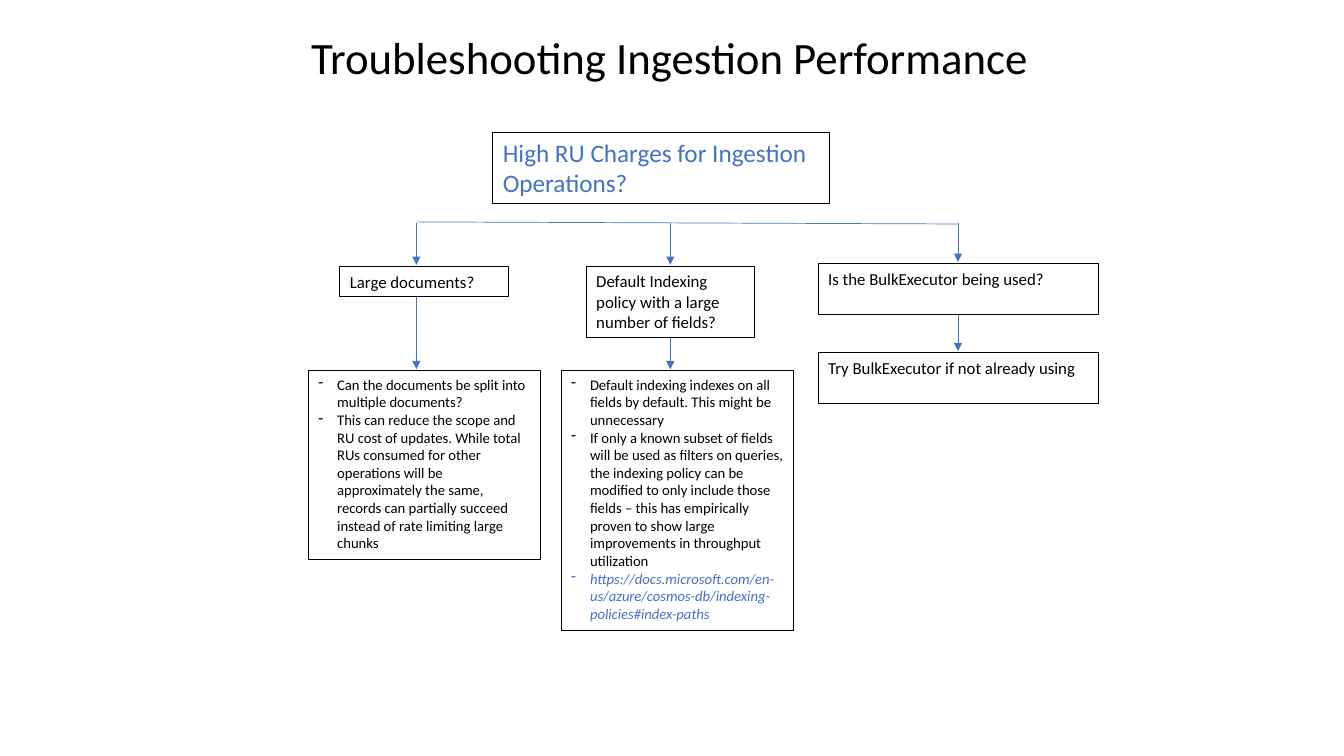
"""Build the ingestion performance troubleshooting slide."""
from lxml.etree import SubElement
from pptx import Presentation
from pptx.dml.color import RGBColor
from pptx.enum.shapes import MSO_CONNECTOR, MSO_SHAPE
from pptx.enum.text import MSO_ANCHOR, MSO_AUTO_SIZE, PP_ALIGN
from pptx.oxml.ns import qn
from pptx.util import Pt

TITLE = "Troubleshooting Ingestion Performance"
QUESTION = "High RU Charges for Ingestion Operations?"
LINK = "https://docs.microsoft.com/en-us/azure/cosmos-db/indexing-policies#index-paths"
COLORS = {"ink": "000000", "accent": "4472C4"}
FONT = "Calibri"
BULLET_INDENT = 13.5
BUS_Y = 159
BRANCHES = [
    {"arrow_x": 297.4, "check": "Large documents?",
     "check_box": (242.8, 190.2, 120.5, 21.8), "advice_box": (220.3, 264.7, 166, 134.9),
     "advice": [
         "Can the documents be split into multiple documents?",
         "This can reduce the scope and RU cost of updates. While total RUs consumed for other "
         "operations will be approximately the same, records can partially succeed instead of "
         "rate limiting large chunks"]},
    {"arrow_x": 478.8, "check": "Default Indexing policy with a large number of fields?",
     "check_box": (418.8, 190.2, 120.5, 50.9), "advice_box": (400.9, 264.7, 166, 185.4),
     "advice": [
         "Default indexing indexes on all fields by default. This might be unnecessary",
         "If only a known subset of fields will be used as filters on queries, the indexing "
         "policy can be modified to only include those fields – this has empirically proven "
         "to show large improvements in throughput utilization",
         LINK]},
    {"arrow_x": 684.3, "check": "Is the BulkExecutor being used?",
     "check_box": (584.5, 188.1, 200.4, 36.3), "advice_box": (584.5, 251.8, 200.4, 36.3),
     "advice": ["Try BulkExecutor if not already using"]},
]


def color(name):
    return RGBColor.from_string(COLORS[name])


def set_bullet(paragraph):
    properties = paragraph._p.get_or_add_pPr()
    properties.set("marL", str(Pt(BULLET_INDENT)))
    properties.set("indent", str(-Pt(BULLET_INDENT)))
    SubElement(properties, qn("a:buFontTx"))
    SubElement(properties, qn("a:buChar")).set("char", "-")


def write(shape, lines, size, ink="ink", align=PP_ALIGN.LEFT, bulleted=False):
    frame = shape.text_frame
    frame.word_wrap = True
    frame.auto_size = MSO_AUTO_SIZE.NONE
    frame.vertical_anchor = MSO_ANCHOR.TOP
    for index, line in enumerate(lines):
        paragraph = frame.add_paragraph() if index else frame.paragraphs[0]
        paragraph.text = line
        if bulleted:
            set_bullet(paragraph)
        paragraph.alignment = align
        font = paragraph.font
        font.name, font.size = FONT, Pt(size)
        font.color.rgb = color("accent" if line == LINK else ink)
        if line == LINK:
            font.italic = True


def add_box(slide, bounds, lines, size, **style):
    shape = slide.shapes.add_shape(MSO_SHAPE.RECTANGLE, *map(Pt, bounds))
    shape.shadow.inherit = False
    shape.fill.background()
    shape.line.color.rgb = color("ink")
    shape.line.width = Pt(0.75)
    write(shape, lines, size, **style)


def add_line(slide, start, end, arrow=True):
    connector = slide.shapes.add_connector(MSO_CONNECTOR.STRAIGHT, *map(Pt, start + end))
    connector.line.color.rgb = color("accent")
    connector.line.width = Pt(0.5)
    if arrow:
        SubElement(connector.line._get_or_add_ln(), qn("a:tailEnd")).set("type", "triangle")
    SubElement(connector._element.spPr, qn("a:effectLst"))


def add_branch(slide, branch):
    x = branch["arrow_x"]
    check_top, check_height = branch["check_box"][1], branch["check_box"][3]
    advice_top = branch["advice_box"][1]
    bulleted = len(branch["advice"]) > 1
    add_line(slide, (x, BUS_Y), (x, check_top - 1))
    add_line(slide, (x, check_top + check_height), (x, advice_top - 1))
    add_box(slide, branch["check_box"], [branch["check"]], 12)
    add_box(slide, branch["advice_box"], branch["advice"],
            10.5 if bulleted else 12, bulleted=bulleted)


def main():
    presentation = Presentation()
    presentation.slide_width, presentation.slide_height = Pt(960), Pt(540)
    slide = presentation.slides.add_slide(presentation.slide_layouts[5])
    title = slide.shapes.title
    title.left, title.top, title.width, title.height = map(Pt, (54.7, 17.3, 847.4, 46.1))
    write(title, [TITLE], 32, align=PP_ALIGN.CENTER)
    add_box(slide, (352.1, 94.5, 240.5, 51), [QUESTION], 18, ink="accent")
    add_line(slide, (BRANCHES[0]["arrow_x"], BUS_Y - 0.5),
             (BRANCHES[-1]["arrow_x"], BUS_Y + 1), arrow=False)
    for branch in BRANCHES:
        add_branch(slide, branch)
    presentation.save("out.pptx")


if __name__ == "__main__":
    main()
